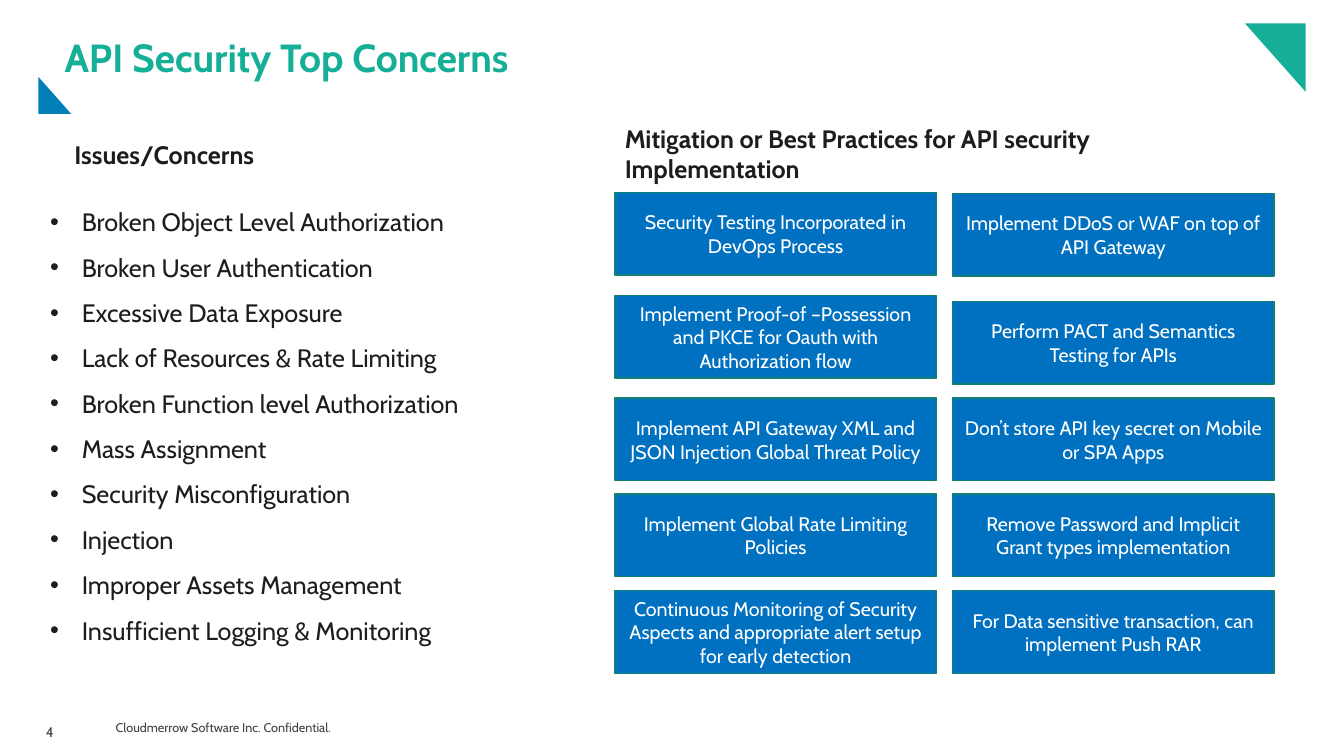
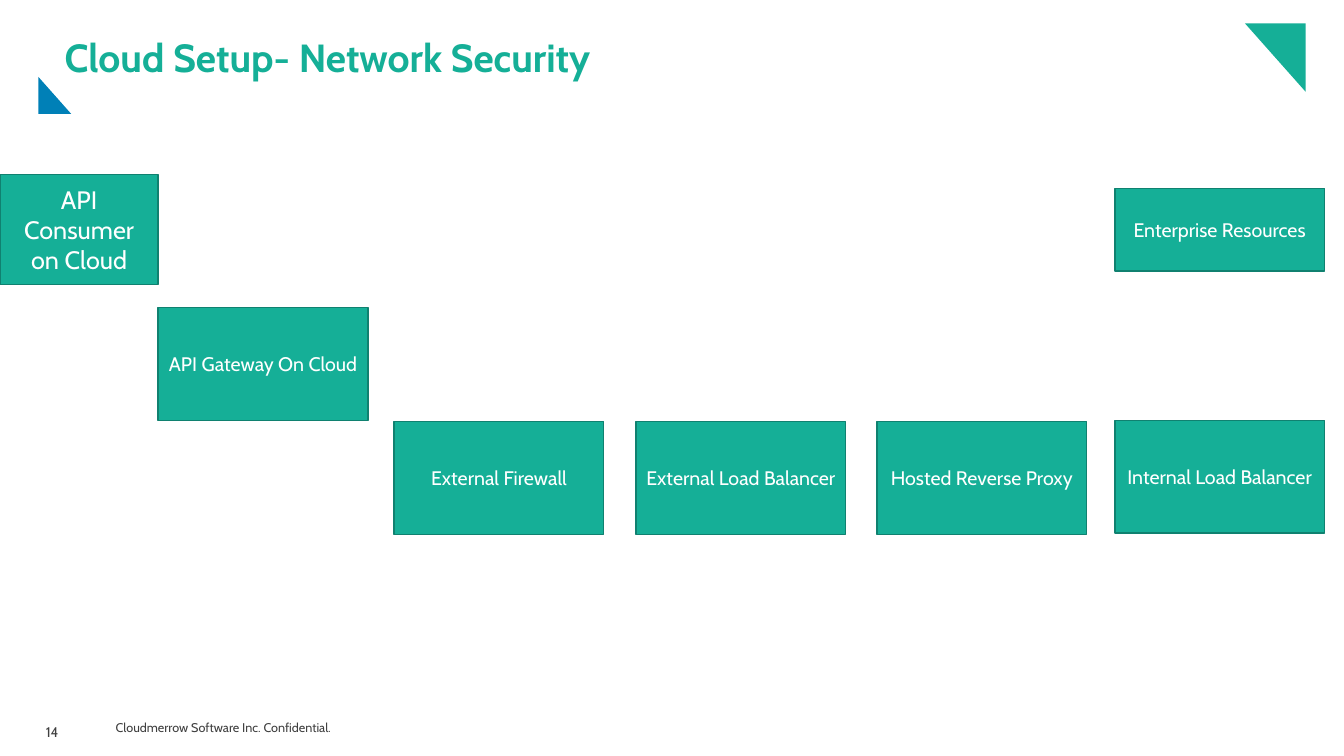
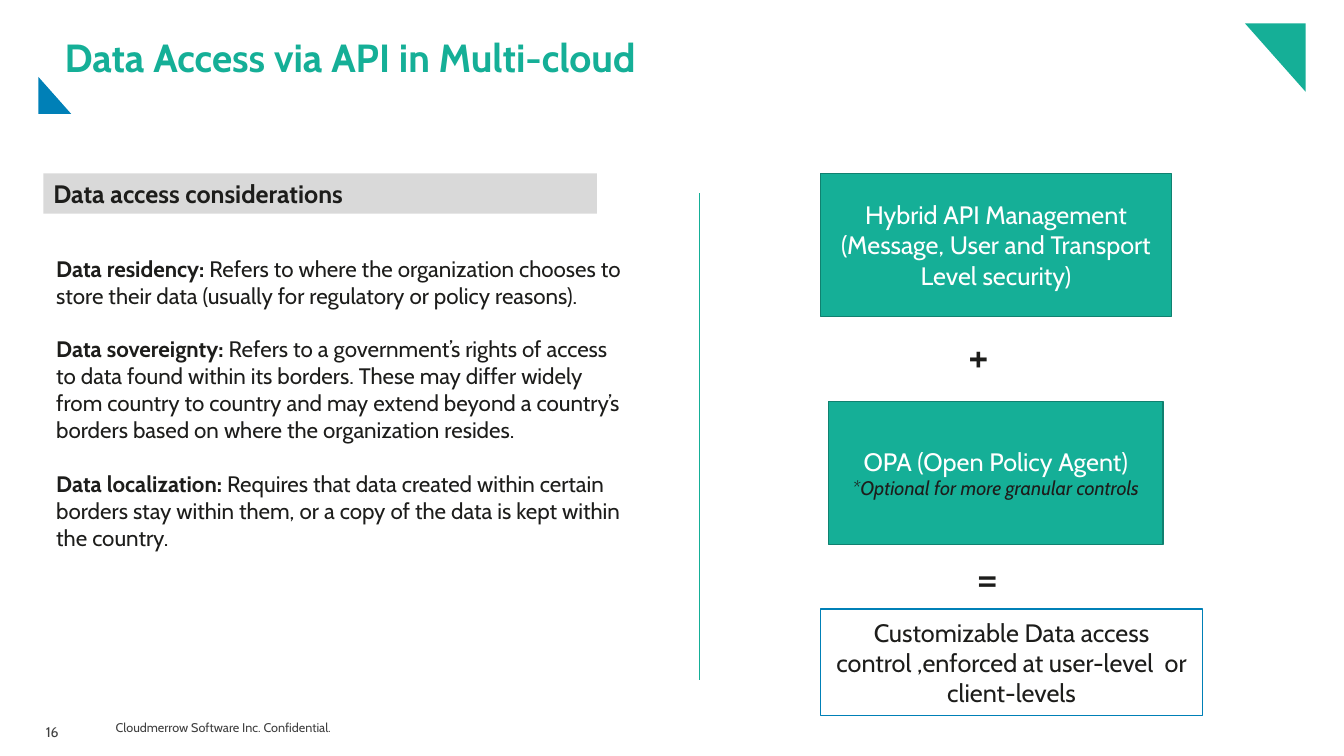
from lxml import etree
from pptx import Presentation
from pptx.dml.color import RGBColor
from pptx.enum import shapes, text
from pptx.oxml.ns import qn
from pptx.util import Pt

FONT = "Cabin"
FOOTER = "Cloudmerrow Software Inc. Confidential."
COLOURS = {
    "teal": "15AF97",
    "teal_edge": "108170",
    "navy": "0080B7",
    "blue": "0070C0",
    "grey": "D9D9D9",
    "ink": "1D1D1B",
    "small": "404040",
    "white": "FFFFFF",
}
LEFT, CENTER = text.PP_ALIGN.LEFT, text.PP_ALIGN.CENTER
TOP, MIDDLE = text.MSO_ANCHOR.TOP, text.MSO_ANCHOR.MIDDLE
INSETS = (7.2, 3.6, 7.2, 3.6)

CONCERNS = [
    "Broken Object Level Authorization",
    "Broken User Authentication",
    "Excessive Data Exposure",
    "Lack of Resources & Rate Limiting",
    "Broken Function level Authorization",
    "Mass Assignment",
    "Security Misconfiguration",
    "Injection",
    "Improper Assets Management",
    "Insufficient Logging & Monitoring",
]
# Each column: left edge, then (top, practice) pairs.
PRACTICES = [
    (439.2, [
        (137.5, "Security Testing Incorporated in DevOps Process"),
        (211, "Implement Proof-of –Possession and PKCE for Oauth with "
              "Authorization flow"),
        (284.4, "Implement API Gateway XML and JSON Injection Global Threat Policy"),
        (352.8, "Implement Global Rate Limiting Policies"),
        (421.9, "Continuous Monitoring of Security Aspects and appropriate "
                "alert setup for early detection"),
    ]),
    (680.4, [
        (138.2, "Implement DDoS or WAF on top of API Gateway"),
        (215.3, "Perform PACT and Semantics Testing for APIs"),
        (284.4, "Don’t store API key secret on Mobile or SPA Apps"),
        (352.8, "Remove Password and Implicit Grant types implementation"),
        (421.9, "For Data sensitive transaction, can implement Push RAR"),
    ]),
]
NETWORK = [
    ("API Consumer on Cloud", (0, 124.6, 113, 78.5), 18),
    ("API Gateway On Cloud", (113, 219.6, 149.8, 80.6), 14),
    ("External Firewall", (281.5, 301, 149.8, 80.6), 14),
    ("External Load Balancer", (454.3, 301, 149.8, 80.6), 14),
    ("Hosted Reverse Proxy", (626.4, 301, 149.8, 80.6), 14),
    ("Internal Load Balancer", (796.3, 300.2, 149.8, 80.6), 14),
    ("Enterprise Resources", (796.3, 134.6, 149.8, 59), 14),
]
DEFINITIONS = [
    ("Data residency: ",
     "Refers to where the organization chooses to store their data "
     "(usually for regulatory or policy reasons)."),
    ("Data sovereignty: ",
     "Refers to a government’s rights of access to data found within its "
     "borders. These may differ widely from country to country and may extend "
     "beyond a country’s borders based on where the organization resides."),
    ("Data localization: ",
     "Requires that data created within certain borders stay within them, or "
     "a copy of the data is kept within the country."),
]


def colour(name):
    return RGBColor.from_string(COLOURS[name])


def points(lengths):
    return [Pt(length) for length in lengths]


def write(box, paras, size=18, ink="ink", bold=False, align=LEFT, anchor=TOP,
          insets=INSETS, spacing=None, after=0, bulleted=False):
    """Fill box; a para is a string or a list of (text, overrides) spans."""
    frame = box.text_frame
    frame.word_wrap = True
    frame.vertical_anchor = anchor
    (frame.margin_left, frame.margin_top,
     frame.margin_right, frame.margin_bottom) = points(insets)
    for index, spans in enumerate(paras):
        para = frame.paragraphs[0] if index == 0 else frame.add_paragraph()
        para.alignment = align
        para.space_after = Pt(after)
        if spacing:
            para.line_spacing = spacing
        if bulleted:
            add_bullet(para)
        if isinstance(spans, str):
            spans = [(spans, {})]
        for words, style in spans:
            span = para.add_run()
            span.text = words
            span.font.name = FONT
            span.font.size = Pt(style.get("size", size))
            span.font.bold = style.get("bold", bold)
            span.font.italic = style.get("italic", False)
            span.font.color.rgb = colour(style.get("ink", ink))


def add_bullet(para, indent=22.5):
    props = para._p.get_or_add_pPr()
    props.set("marL", str(Pt(indent)))
    props.set("indent", str(-Pt(indent)))
    etree.SubElement(props, qn("a:buFont")).set("typeface", "Arial")
    etree.SubElement(props, qn("a:buChar")).set("char", "•")


def add_text(page, area, paras, **style):
    write(page.shapes.add_textbox(*points(area)), paras, **style)


def paint(shape, fill, edge=None):
    shape.shadow.inherit = False
    shape.fill.solid()
    shape.fill.fore_color.rgb = colour(fill)
    if edge:
        shape.line.color.rgb = colour(edge)
        shape.line.width = Pt(1)
    else:
        shape.line.fill.background()


def add_panel(page, area, paras, fill, edge=None, **style):
    panel = page.shapes.add_shape(shapes.MSO_SHAPE.RECTANGLE, *points(area))
    paint(panel, fill, edge)
    write(panel, paras, **style)


def add_block(page, area, paras, fill="teal", edge="teal_edge", ink="white",
              size=14):
    """Outlined rectangle with centred text."""
    add_panel(page, area, paras, fill, edge, ink=ink, size=size,
              align=CENTER, anchor=MIDDLE)


def add_heading(page, area, words, fill="white"):
    add_panel(page, area, [words], fill, bold=True)


def add_triangle(page, corners, fill):
    start, *others = [points(corner) for corner in corners]
    outline = page.shapes.build_freeform(*start)
    outline.add_line_segments(others, close=True)
    paint(outline.convert_to_shape(), fill)


def add_divider(page, x, top, bottom):
    line = page.shapes.add_connector(shapes.MSO_CONNECTOR.STRAIGHT,
                                     *points((x, top, x, bottom)))
    line.line.color.rgb = colour("teal")
    line.line.width = Pt(0.5)
    etree.SubElement(line._element.spPr, qn("a:effectLst"))


def add_page(deck, title, number):
    """Blank page with the shared title, corner triangles and footer."""
    page = deck.slides.add_slide(deck.slide_layouts[6])
    add_text(page, (75.6, 507.6, 196.6, 24.5), [FOOTER], size=9, ink="small",
             anchor=MIDDLE, insets=(7.2,) * 4)
    add_text(page, (25.6, 508.3, 40, 22.3), [str(number)], size=10,
             ink="small", spacing=Pt(17), after=2)
    add_triangle(page, [(889.2, 16.6), (932.6, 16.6), (932.6, 65.5)], "teal")
    add_triangle(page, [(50.9, 81.4), (27.5, 81.4), (27.5, 55)], "navy")
    add_text(page, (46.1, 27.4, 864.7, 30.2), [title], size=28, ink="teal",
             bold=True, anchor=MIDDLE, insets=(0,) * 4, spacing=0.9)
    return page


def build_concerns(deck):
    page = add_page(deck, "API Security Top Concerns", 4)
    add_heading(page, (46.1, 95.8, 221, 28.8), "Issues/Concerns")
    add_heading(page, (439.2, 84.2, 441.4, 51.1),
                "Mitigation or Best Practices for API security Implementation")
    add_text(page, (28.8, 133.2, 367.9, 330.5), CONCERNS, spacing=1.5,
             bulleted=True)
    for left, column in PRACTICES:
        for top, practice in column:
            add_block(page, (left, top, 229.7, 59), [practice], fill="blue")


def build_network(deck):
    page = add_page(deck, "Cloud Setup- Network Security", 14)
    for label, area, size in NETWORK:
        add_block(page, area, [label], size=size)


def build_data_access(deck):
    page = add_page(deck, "Data Access via API in Multi-cloud", 16)
    add_heading(page, (31, 123.8, 395.3, 28.8), "Data access considerations",
                fill="grey")
    add_text(page, (33.1, 178.6, 419.8, 259.2),
             [[(term, {"bold": True}), (meaning, {})]
              for term, meaning in DEFINITIONS], size=16, after=19.2)
    add_divider(page, 499.7, 138.2, 486)
    add_block(page, (586.1, 123.8, 250.6, 102.2),
              ["Hybrid API Management",
               "(Message, User and Transport Level security)"], size=18)
    note = {"size": 14, "ink": "ink", "italic": True}
    add_block(page, (591.8, 286.6, 239, 102.2),
              ["OPA (Open Policy Agent)",
               [("*Optional for more granular controls", note)]], size=18)
    add_block(page, (586.1, 434.9, 272.9, 76.3),
              ["Customizable Data access control ,enforced at user-level  or "
               "client-levels"],
              fill="white", edge="navy", ink="ink", size=18)
    for sign, left, top in [("+", 684.7, 230.4), ("=", 690.5, 388.8)]:
        add_text(page, (left, top, 29.5, 46.1), [sign], size=32, align=CENTER)


def main():
    deck = Presentation()
    deck.slide_width, deck.slide_height = Pt(960), Pt(540)
    build_concerns(deck)
    build_network(deck)
    build_data_access(deck)
    deck.save("out.pptx")


if __name__ == "__main__":
    main()
